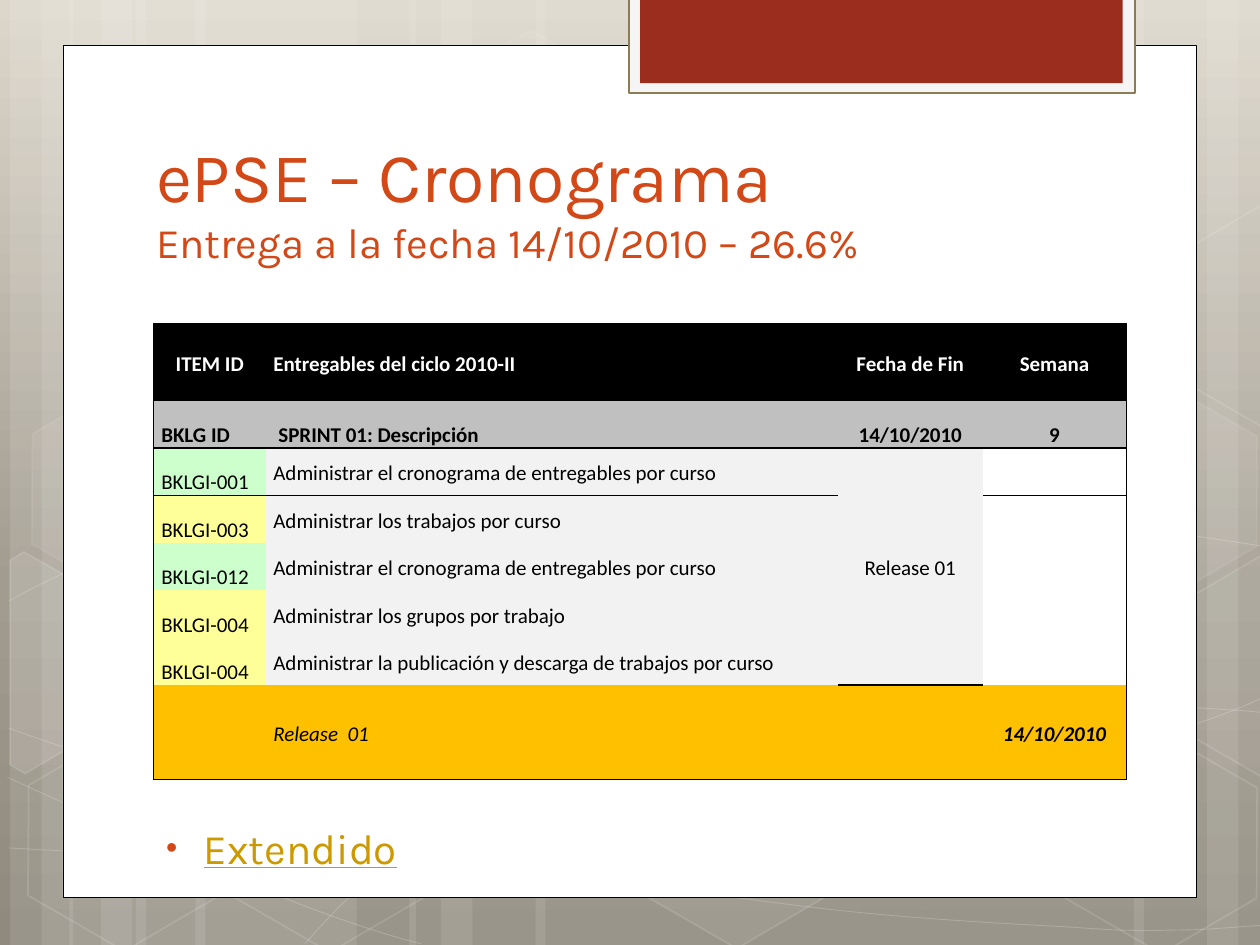
from pptx import Presentation
from pptx import util as u
from pptx.dml.color import RGBColor
from pptx.enum import shapes, text
from pptx.oxml.ns import qn
from lxml import etree

I = u.Inches
SHAPE = shapes.MSO_SHAPE
LEFT, CENTER = text.PP_ALIGN.LEFT, text.PP_ALIGN.CENTER
MIDDLE, BOTTOM = text.MSO_ANCHOR.MIDDLE, text.MSO_ANCHOR.BOTTOM

BACKDROP = [(0, "DDD7CB"), (62, "A29C90"), (100, "8F8A7D")]
STRIPES = [(1.08, 1.75), (0.08, 0.5), (0.33, 0.83), (1.55, 1.75), (0.55, 0.5), (0.8, 0.83),
           (7.33, 1.75), (9.58, 0.5), (9, 0.83), (4.25, 3.08), (3.25, 0.5), (3.5, 0.83)]
CURVES = [
    [(0.07, 6.73), (0.61, 6.76, 1.15, 6.79, 1.9, 6.78), (2.65, 6.77, 3.58, 6.75, 4.58, 6.65),
     (5.58, 6.55, 7, 6.36, 7.92, 6.17), (8.83, 5.98, 9.77, 5.68, 10.07, 5.51)],
    [(0.07, 4.77), (0.36, 4.61, 0.65, 4.46, 1.21, 4.31), (1.78, 4.16, 2.59, 3.94, 3.47, 3.87),
     (4.36, 3.8, 5.44, 3.79, 6.54, 3.87), (7.64, 3.95, 9.47, 4.26, 10.07, 4.34)],
    [(0.06, 6.17), (1.27, 6.72, 2.47, 7.27, 3.34, 7.49)],
    [(0.07, 5.78), (0.38, 5.89, 0.7, 6, 1.28, 6.16), (1.86, 6.31, 2.73, 6.56, 3.57, 6.73),
     (4.4, 6.9, 5.45, 7.08, 6.28, 7.18), (7.11, 7.29, 8, 7.33, 8.53, 7.36),
     (9.05, 7.4, 9.19, 7.38, 9.45, 7.38), (9.71, 7.37, 9.89, 7.35, 10.07, 7.34)],
    [(2.42, 7.49), (2.6, 7.29, 2.78, 7.09, 3.02, 6.91), (3.26, 6.73, 3.6, 6.53, 3.88, 6.39),
     (4.16, 6.25, 4.33, 6.19, 4.7, 6.09), (5.06, 5.99, 5.73, 5.85, 6.08, 5.78),
     (6.44, 5.71, 6.49, 5.71, 6.8, 5.69), (7.11, 5.66, 7.6, 5.63, 7.94, 5.62),
     (8.29, 5.61, 8.86, 5.62, 8.86, 5.62), (9.53, 5.62),
     (9.71, 5.63, 9.88, 5.64, 9.97, 5.65), (10.06, 5.66, 10.03, 5.65, 10.06, 5.66)],
]
HEXAGONS = [(3.34, 0.36, 4, 8), (4.97, 5.89, 6, 12), (0.11, 5.91, None, 12),
            (0.14, 3.12, 7, 8), (1.74, 5.92, None, 12), (7.53, 4.53, 10, 12),
            (8.34, 5.93, None, 12), (8.34, 3.14, 7, 8)]
CUT_HEXAGONS = [
    ([(0.08, 4.45), (0.19, 4.38), (0.96, 4.82), (0.95, 5.7), (0.2, 6.14), (0.08, 6.07)], 10),
    ([(9.26, 4.85), (10.01, 4.41), (10.09, 4.46), (10.09, 6.13), (10.02, 6.17), (9.26, 5.73)], 4),
    ([(9.26, 2.07), (10.01, 1.63), (10.1, 1.68), (10.09, 3.35), (10.02, 3.39), (9.26, 2.95)], None),
]
PANELS = [(0.5, 0.36, 9, 6.76, "FFFFFF", "000000", 0.5),
          (4.99, -0.02, 4.02, 0.76, "F5F5F5", "8B7B57", 1.25),
          (5.08, -0.02, 3.83, 0.68, "9B2D1F", None, 0)]
TITLE = [("ePSE – Cronograma", 40), ("Entrega a la fecha 14/10/2010 – 26.6%", 24)]

GREEN, YELLOW, PALE = "CCFFCC", "FFFF99", "F2F2F2"
ITEMS = [("BKLGI-001", "Administrar el cronograma de entregables por curso", GREEN),
         ("BKLGI-003", "Administrar los trabajos por curso", YELLOW),
         ("BKLGI-012", "Administrar el cronograma de entregables por curso", GREEN),
         ("BKLGI-004", "Administrar los grupos por trabajo", YELLOW),
         ("BKLGI-004", "Administrar la publicación y descarga de trabajos por curso", YELLOW)]
TABLE_HEIGHT, HEAD, FOOT = 3.62, 0.61, 0.75
COLS = [0.89, 4.54, 1.15, 1.14]
ROWS = [HEAD] + [(TABLE_HEIGHT - HEAD - FOOT) / 6] * 6 + [FOOT]
HEADER = ["ITEM ID", "Entregables del ciclo 2010-II", "Fecha de Fin", "Semana"]
SPRINT = ["BKLG ID\tSPRINT 01: Descripción", "", "14/10/2010", "9"]
RELEASE = ["", "Release  01", "", "14/10/2010"]


def rgb(value):
    return RGBColor.from_string(value)


def fade(color_fill, percent):
    color = color_fill._xPr.find(".//" + qn("a:srgbClr"))
    etree.SubElement(color, qn("a:alpha"), val=str(percent * 1000))


def paint(sp, fill=None, alpha=None, line=None, width=1, line_alpha=None):
    sp.shadow.inherit = False
    if fill:
        sp.fill.solid()
        sp.fill.fore_color.rgb = rgb(fill)
        if alpha:
            fade(sp.fill, alpha)
    else:
        sp.fill.background()
    if line:
        sp.line.color.rgb = rgb(line)
        sp.line.width = u.Pt(width)
        if line_alpha:
            fade(sp.line.fill, line_alpha)
    else:
        sp.line.fill.background()


def add_preset(kind, x, y, w, h):
    return s.shapes.add_shape(kind, I(x), I(y), I(w), I(h))


def add_outline(points, close):
    pts = [(I(x), I(y)) for x, y in points]
    builder = s.shapes.build_freeform(*pts[0])
    builder.add_line_segments(pts[1:], close=close)
    return builder.convert_to_shape()


def add_curve(curve):
    points = [seg[n:n + 2] for seg in curve for n in range(0, len(seg), 2)]
    sp = add_outline(points, False)
    lines = iter(sp._element.findall(".//" + qn("a:lnTo")))
    for seg in curve[1:]:
        first = next(lines)
        if len(seg) == 6:
            bezier = etree.Element(qn("a:cubicBezTo"))
            first.addprevious(bezier)
            for ln in (first, next(lines), next(lines)):
                bezier.append(ln[0])
                ln.getparent().remove(ln)
    return sp


def add_run(p, words, size, color, font="Karla"):
    r = p.add_run()
    r.text = words
    r.font.size, r.font.name = u.Pt(size), font
    r.font.color.rgb = rgb(color)
    return r


def add_textbox(x, y, w, h, anchor):
    tf = s.shapes.add_textbox(I(x), I(y), I(w), I(h)).text_frame
    tf.word_wrap, tf.vertical_anchor = True, anchor
    return tf.paragraphs[0]


def fill_cell(row, col, words, fill, color="000000", bold=False, italic=False,
              align=LEFT, anchor=MIDDLE):
    cell = table.cell(row, col)
    cell.margin_left = cell.margin_right = I(0.06)
    cell.margin_top = cell.margin_bottom = 0
    cell.vertical_anchor = anchor
    edges = {"L": col == 0, "R": col == 3, "T": row < 3, "B": row in (0, 1, 7)}
    for side in filter(edges.get, edges):
        ln = etree.SubElement(cell._tc.get_or_add_tcPr(), qn("a:ln" + side), w="12700")
        solid = etree.SubElement(ln, qn("a:solidFill"))
        etree.SubElement(solid, qn("a:srgbClr"), val="000000")
    if fill:
        cell.fill.solid()
        cell.fill.fore_color.rgb = rgb(fill)
    if words:
        p = cell.text_frame.paragraphs[0]
        p.alignment, p.line_spacing = align, 1.15
        r = add_run(p, words, 12, color, "Calibri")
        r.font.bold, r.font.italic = bold, italic


prs = Presentation()
prs.slide_width, prs.slide_height = I(10), I(7.5)
s = prs.slides.add_slide(prs.slide_layouts[6])

backdrop = s.background.fill
backdrop.gradient()
backdrop.gradient_angle = 270
stops = s.element.find(".//" + qn("a:gsLst"))
for stop in list(stops):
    stops.remove(stop)
for pos, color in BACKDROP:
    stop = etree.SubElement(stops, qn("a:gs"), pos=str(pos * 1000))
    etree.SubElement(stop, qn("a:srgbClr"), val=color)

for x, w in STRIPES:
    paint(add_preset(SHAPE.RECTANGLE, x, 0, w, 7.5), "FFFFFF", 10)
for curve in CURVES:
    paint(add_curve(curve), line="FFFFFF", width=0.5, line_alpha=20)
for x, y, alpha, line_alpha in HEXAGONS:
    sp = add_preset(SHAPE.HEXAGON, x, y, 1.75, 1.52)
    sp.adjustments[0] = 0.285
    sp.rotation = 30
    paint(sp, alpha and "FFFFFF", alpha, "FFFFFF", 1, line_alpha)
for points, alpha in CUT_HEXAGONS:
    paint(add_outline(points, True), alpha and "FFFFFF", alpha, "FFFFFF", 1, 12)
for x, y, w, h, fill, line, width in PANELS:
    paint(add_preset(SHAPE.RECTANGLE, x, y, w, h), fill, line=line, width=width)

p = add_textbox(1.14, 0.99, 7.68, 1.18, BOTTOM)
for n, (words, size) in enumerate(TITLE):
    if n:
        p.add_line_break()
    add_run(p, words, size, "D34817")

p = add_textbox(1.14, 6.48, 7.41, 0.58, text.MSO_ANCHOR.TOP)
add_run(p, "Extendido", 24, "CC9900").font.underline = True
pPr = p._p.get_or_add_pPr()
pPr.set("marL", str(I(0.38)))
pPr.set("indent", str(I(-0.3)))
etree.SubElement(etree.SubElement(pPr, qn("a:buClr")), qn("a:srgbClr"), val="D34817")
etree.SubElement(pPr, qn("a:buSzPct"), val="76000")
etree.SubElement(pPr, qn("a:buFont"), typeface="Arial")
etree.SubElement(pPr, qn("a:buChar"), char="•")

table = s.shapes.add_table(len(ROWS), len(COLS), I(1.22), I(2.57),
                           I(sum(COLS)), I(TABLE_HEIGHT)).table
table.first_row = table.horz_banding = False
table._tbl.tblPr.find(qn("a:tableStyleId")).text = "{2D5ABB26-0587-4C30-8999-92F81FD0307C}"
for col, w in zip(table.columns, COLS):
    col.width = I(w)
for row, h in zip(table.rows, ROWS):
    row.height = I(h)

for c in range(len(COLS)):
    fill_cell(0, c, HEADER[c], "000000", "FFFFFF", True, align=LEFT if c == 1 else CENTER)
    fill_cell(1, c, SPRINT[c], "C0C0C0", bold=True, align=CENTER if c > 1 else LEFT, anchor=BOTTOM)
    fill_cell(7, c, RELEASE[c], "FFC000", bold=c == 3, italic=True, align=CENTER if c == 3 else LEFT)
for n, (code, task, fill) in enumerate(ITEMS, 2):
    fill_cell(n, 0, code, fill, anchor=BOTTOM)
    fill_cell(n, 1, task, PALE)
    fill_cell(n, 2, "Release 01" if n == 2 else "", PALE, align=CENTER)
    fill_cell(n, 3, "", None)
table.cell(1, 0).merge(table.cell(1, 1))
table.cell(2, 2).merge(table.cell(6, 2))
pPr = table.cell(1, 0).text_frame.paragraphs[0]._p.get_or_add_pPr()
tabs = etree.SubElement(pPr, qn("a:tabLst"))
etree.SubElement(tabs, qn("a:tab"), pos=str(I(0.93)), algn="l")

prs.save("out.pptx")
